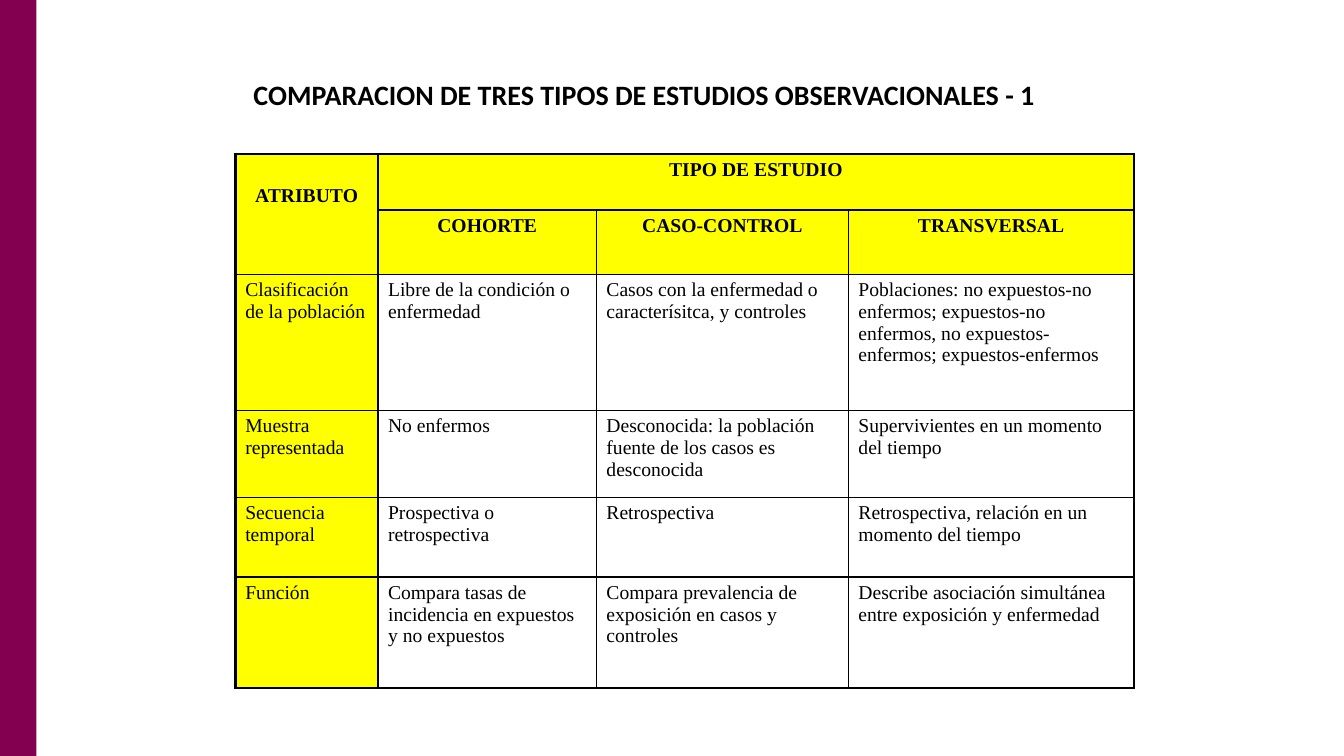
from lxml import etree
from pptx import Presentation
from pptx.dml.color import RGBColor
from pptx.enum.shapes import MSO_SHAPE
from pptx.enum.text import MSO_ANCHOR, PP_ALIGN
from pptx.oxml.ns import qn
from pptx.util import Pt

RECT = MSO_SHAPE.RECTANGLE
MIDDLE = MSO_ANCHOR.MIDDLE
LEFT, CENTER = PP_ALIGN.LEFT, PP_ALIGN.CENTER

COLORS = {"band": "830051", "header": "FFFF00", "body": "FFFFFF", "ink": "000000"}
TITLE_FONT, TABLE_FONT = "Calibri", "Times New Roman"
THIN, THICK = 1, 2.25

COL_WIDTHS = [102, 156, 180, 204]
ROW_HEIGHTS = [40, 46, 97.2, 62, 57, 79.2]
HEADER_ROWS = 2
ROWS = [
    ["ATRIBUTO", "TIPO DE ESTUDIO", "", ""],
    ["", "COHORTE", "CASO-CONTROL", "TRANSVERSAL"],
    ["Clasificación de la población",
     "Libre de la condición o enfermedad",
     "Casos con la enfermedad o caracterísitca, y controles",
     "Poblaciones: no expuestos-no enfermos; expuestos-no enfermos, "
     "no expuestos-enfermos; expuestos-enfermos"],
    ["Muestra representada",
     "No enfermos",
     "Desconocida: la población fuente de los casos es desconocida",
     "Supervivientes en un momento del tiempo"],
    ["Secuencia temporal",
     "Prospectiva o retrospectiva",
     "Retrospectiva",
     "Retrospectiva, relación en un momento del tiempo"],
    ["Función",
     "Compara tasas de incidencia en expuestos y no expuestos",
     "Compara prevalencia de exposición en casos y controles",
     "Describe asociación simultánea entre exposición y enfermedad"],
]


class SlideBuilder:
    def __init__(self, slide):
        self.s = slide

    def color(self, name):
        return RGBColor.from_string(COLORS[name])

    def rect(self, x, y, w, h, fill):
        sp = self.s.shapes.add_shape(RECT, Pt(x), Pt(y), Pt(w), Pt(h))
        sp.shadow.inherit = False
        sp.fill.solid()
        sp.fill.fore_color.rgb = self.color(fill)
        sp.line.fill.background()

    def add_text(self, tf, text, font, size, bold, align=LEFT):
        tf.word_wrap = True
        p = tf.paragraphs[0]
        p.alignment = align
        r = p.add_run()
        r.text = text
        r.font.name, r.font.size, r.font.bold = font, Pt(size), bold
        r.font.color.rgb = self.color("ink")
        return p

    def title(self, x, y, w, h, text):
        tf = self.s.shapes.add_textbox(Pt(x), Pt(y), Pt(w), Pt(h)).text_frame
        tf.vertical_anchor = MIDDLE
        p = self.add_text(tf, text, TITLE_FONT, 20, True)
        p.line_spacing = 0.9

    def borders(self, cell, widths):
        tc_pr = cell._tc.get_or_add_tcPr()
        for i, (side, width) in enumerate(widths.items()):
            ln = etree.Element(qn(f"a:ln{side}"), w=str(Pt(width)))
            fill = etree.SubElement(ln, qn("a:solidFill"))
            etree.SubElement(fill, qn("a:srgbClr"), val=COLORS["ink"])
            tc_pr.insert(i, ln)

    def table(self, x, y, col_widths, row_heights, rows):
        n_rows, n_cols = len(row_heights), len(col_widths)
        table = self.s.shapes.add_table(
            n_rows, n_cols, Pt(x), Pt(y),
            Pt(sum(col_widths)), Pt(sum(row_heights))).table
        for col, width in zip(table.columns, col_widths):
            col.width = Pt(width)
        for row, height in zip(table.rows, row_heights):
            row.height = Pt(height)
        for i, texts in enumerate(rows):
            for j, text in enumerate(texts):
                cell = table.cell(i, j)
                header = i < HEADER_ROWS
                cell.fill.solid()
                cell.fill.fore_color.rgb = self.color(
                    "header" if header or j == 0 else "body")
                self.borders(cell, {
                    "L": THICK if j == 0 else THIN,
                    "R": THICK if j == n_cols - 1 else THIN,
                    "T": THICK if i == 0 else THIN,
                    "B": THICK if i == n_rows - 1 else THIN})
                if text:
                    self.add_text(cell.text_frame, text, TABLE_FONT, 14, header,
                                  CENTER if header else LEFT)
        return table


def main():
    prs = Presentation()
    prs.slide_width, prs.slide_height = Pt(960), Pt(540)
    slide = SlideBuilder(prs.slides.add_slide(prs.slide_layouts[6]))

    # Side band and title
    slide.rect(0, 0, 26, 540, "band")
    slide.title(174, 48, 612, 42,
                "COMPARACION DE TRES TIPOS DE ESTUDIOS OBSERVACIONALES - 1")

    # Comparison table with merged headings
    table = slide.table(168, 110, COL_WIDTHS, ROW_HEIGHTS, ROWS)
    attribute = table.cell(0, 0)
    attribute.merge(table.cell(1, 0))
    attribute.margin_top = Pt(22)
    table.cell(0, 1).merge(table.cell(0, 3))

    prs.save("out.pptx")


if __name__ == "__main__":
    main()
